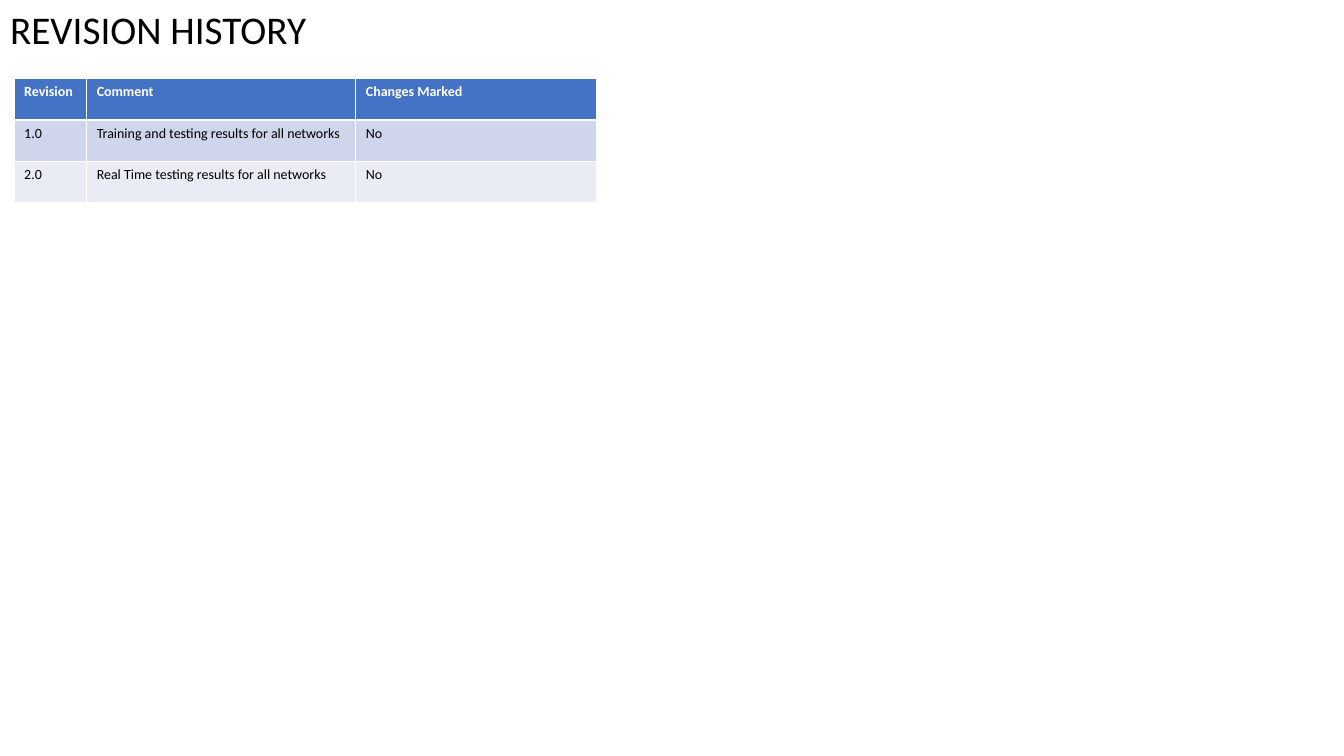
from dataclasses import dataclass

from pptx import Presentation
from pptx.dml.color import RGBColor
from pptx.enum.text import MSO_ANCHOR, PP_ALIGN
from pptx.util import Inches, Pt

BLACK = RGBColor(0x00, 0x00, 0x00)
WHITE = RGBColor(0xFF, 0xFF, 0xFF)
BLUE = RGBColor(0x44, 0x72, 0xC4)
BAND = RGBColor(0xCF, 0xD5, 0xEA)
PALE = RGBColor(0xE9, 0xEB, 0xF5)

WIDTHS = (0.72, 2.67, 2.39)
HEIGHT = 0.41


@dataclass
class Entry:
    texts: tuple[str, str, str]
    fill: RGBColor
    color: RGBColor = BLACK
    bold: bool = False


ENTRIES = [
    Entry(("Revision", "Comment", "Changes Marked"), BLUE, WHITE, True),
    Entry(("1.0", "Training and testing results for all networks", "No"), BAND),
    Entry(("2.0", "Real Time testing results for all networks", "No"), PALE),
]


def style(font, color: RGBColor, **values) -> None:
    font.color.rgb = color
    for name, value in {"name": "Calibri", **values}.items():
        setattr(font, name, value)


def add_title(slide, text: str) -> None:
    title = slide.shapes.title
    place = {"left": 0, "top": 0, "width": Inches(13.33), "height": Inches(0.57)}
    for name, value in place.items():
        setattr(title, name, value)
    frame = title.text_frame
    frame.text = text
    frame.vertical_anchor = MSO_ANCHOR.TOP
    line = frame.paragraphs[0]
    line.alignment = PP_ALIGN.LEFT
    style(line.runs[0].font, BLACK, size=Pt(28))


def add_history(slide, entries: list[Entry]) -> None:
    """Add the revision table; its default style draws the white borders."""
    table = slide.shapes.add_table(
        len(entries), len(WIDTHS), Inches(0.14), Inches(0.78),
        Inches(sum(WIDTHS)), Inches(HEIGHT * len(entries)),
    ).table
    for column, width in zip(table.columns, WIDTHS):
        column.width = Inches(width)
    for row, entry in zip(table.rows, entries):
        row.height = Inches(HEIGHT)
        for cell, text in zip(row.cells, entry.texts):
            cell.text = text
            cell.fill.solid()
            cell.fill.fore_color.rgb = entry.fill
            font = cell.text_frame.paragraphs[0].runs[0].font
            style(font, entry.color, size=Pt(10), bold=entry.bold)


def main() -> None:
    deck = Presentation()
    deck.slide_width, deck.slide_height = Inches(13.33), Inches(7.5)
    slide = deck.slides.add_slide(deck.slide_layouts.get_by_name("Title Only"))
    add_title(slide, "REVISION HISTORY")
    add_history(slide, ENTRIES)
    deck.save("out.pptx")


if __name__ == "__main__":
    main()
